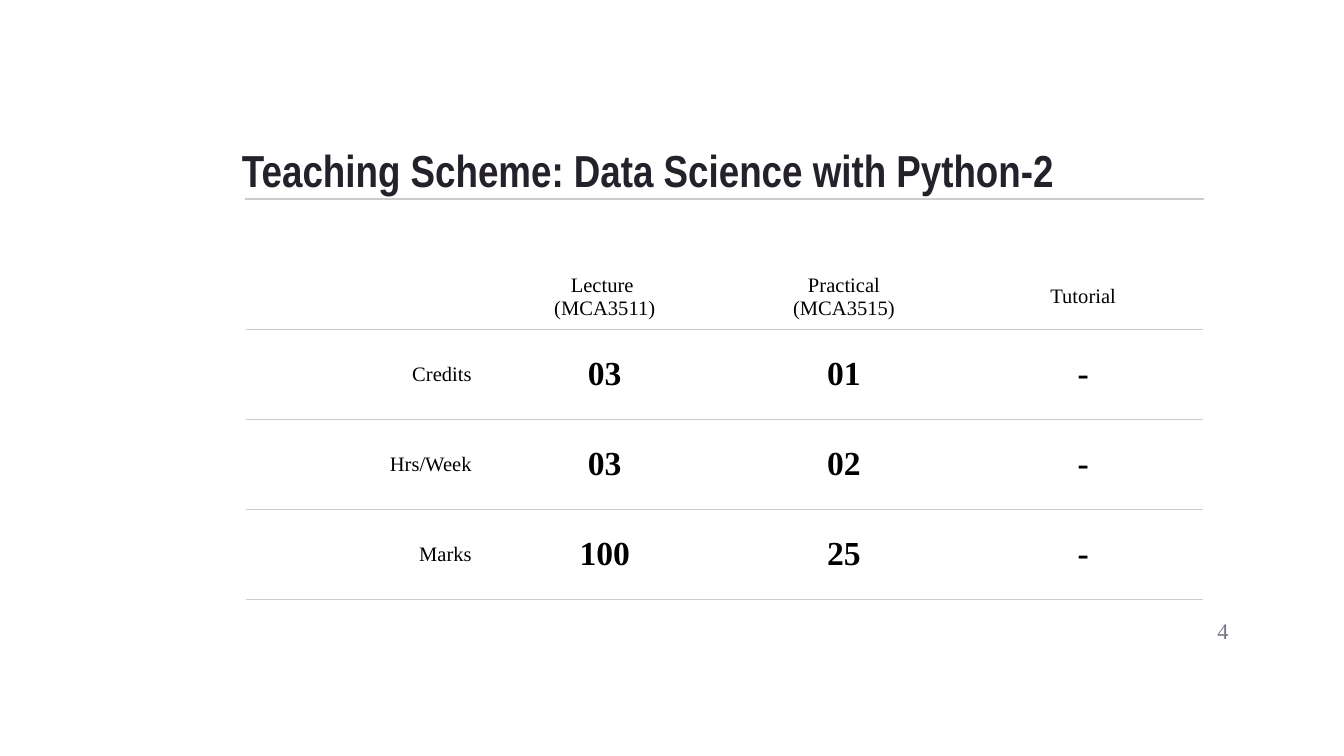
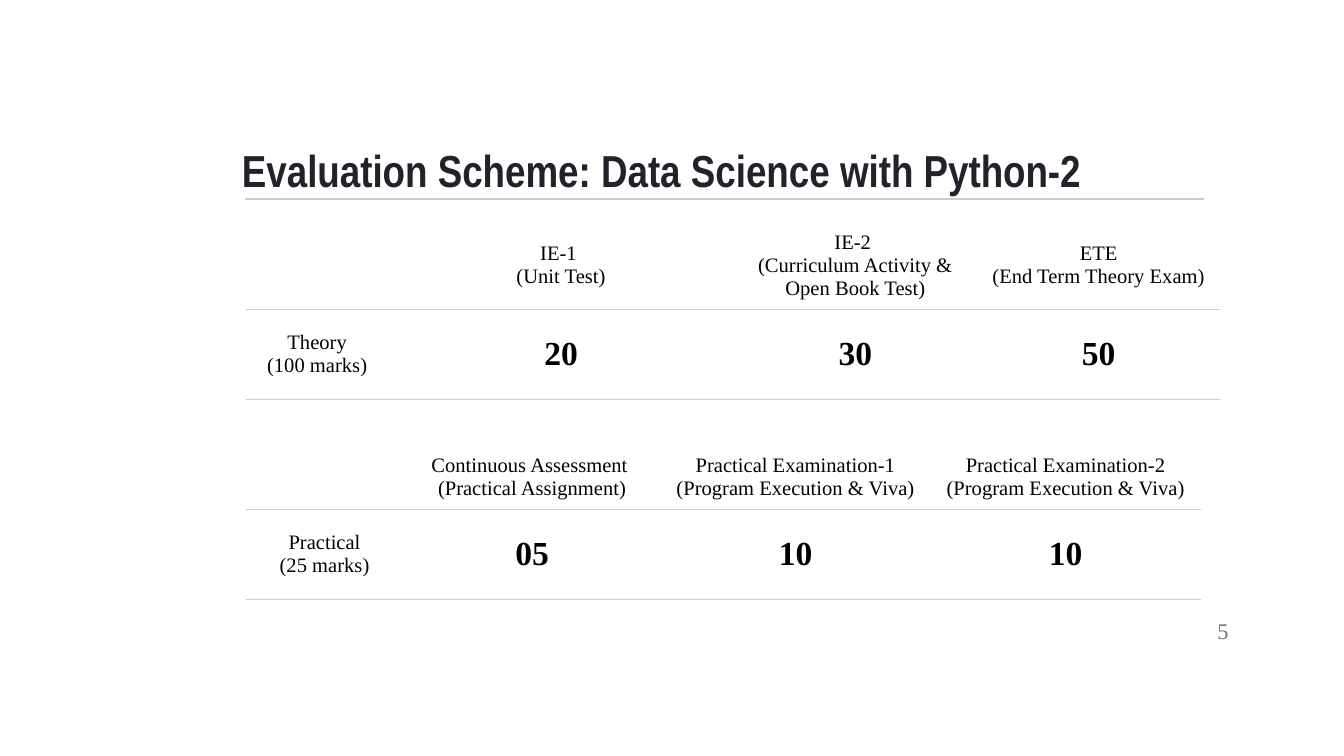
from dataclasses import dataclass
from typing import Any

from lxml.etree import SubElement
from pptx import Presentation
from pptx.dml.color import RGBColor
from pptx.enum.shapes import MSO_CONNECTOR as Connector
from pptx.enum.text import MSO_ANCHOR as Anchor, MSO_AUTO_SIZE as AutoSize, PP_ALIGN as Align
from pptx.oxml import parse_xml
from pptx.oxml.ns import nsdecls, qn
from pptx.slide import Slide
from pptx.util import Inches, Pt

INK, TITLE_INK, NUMBER_INK, RULE = "000000", "25212A", "797281", "CCCCCC"
SERIF, NARROW = "Times New Roman", "Arial Narrow"
RULE_WIDTH = Pt(0.75)
PLAIN_TABLE_STYLE = "{2D5ABB26-0587-4C30-8999-92F81FD0307C}"
SLIDE_WIDTH = 10
HEADER_HEIGHT, VALUE_HEIGHT = 0.29, 0.67
LABEL = {"name": SERIF, "size": Pt(11), "bold": False}
VALUE = {"name": SERIF, "size": Pt(18), "bold": True}
HEADING = {"name": NARROW, "size": Pt(24), "bold": True}
NUMBER = {"name": SERIF, "size": Pt(12), "bold": False}


@dataclass(frozen=True)
class Scheme:
    """A ruled table: its place, height, column widths and rows of text."""

    left: float
    top: float
    height: float
    widths: tuple[float, ...]
    rows: tuple[tuple[str, ...], ...]
    label_align: Align = Align.CENTER


@dataclass(frozen=True)
class Page:
    """A slide: its title, page number and tables."""

    title: str
    number: int
    schemes: tuple[Scheme, ...]


PAGES = (
    Page("Teaching Scheme: Data Science with Python-2", 4, (
        Scheme(1.83, 1.97, 2.52, (1.78,) * 4, (
            ("", "Lecture \n(MCA3511)", "Practical\n(MCA3515)", "Tutorial"),
            ("Credits", "03", "01", "-"),
            ("Hrs/Week", "03", "02", "-"),
            ("Marks", "100", "25", "-"),
        ), Align.RIGHT),
    )),
    Page("Evaluation Scheme: Data Science with Python-2", 5, (
        Scheme(1.83, 1.65, 1.37, (1.06, 2.57, 1.81, 1.81), (
            ("", "IE-1 \n(Unit Test)", "IE-2 \n(Curriculum Activity & Open Book Test)",
             "ETE\n(End Term Theory Exam)"),
            ("Theory\n(100 marks)", "20", "30", "50"),
        )),
        Scheme(1.83, 3.31, 1.18, (1.17, 1.92, 2, 2.02), (
            ("", "Continuous Assessment \n(Practical Assignment)",
             "Practical Examination-1\n(Program Execution & Viva)",
             "Practical Examination-2\n(Program Execution & Viva)"),
            ("Practical\n(25 marks)", "05", "10", "10"),
        )),
    )),
)


def rgb(color: str) -> RGBColor:
    """Turn a hex string into a colour."""
    return RGBColor.from_string(color)


def assign(target: Any, values: dict[str, Any]) -> None:
    """Set each named attribute on the target."""
    for name, value in values.items():
        setattr(target, name, value)


def write(frame: Any, text: str, style: dict[str, Any], color: str, align: Align) -> None:
    """Write text into a frame and format its paragraphs and runs."""
    frame.text = text
    for paragraph in frame.paragraphs:
        paragraph.alignment = align
        for run in paragraph.runs:
            assign(run.font, style)
            run.font.color.rgb = rgb(color)


def set_frame(frame: Any, anchor: Anchor) -> None:
    """Give a text frame equal insets, wrapping and an anchor."""
    sides = ("left", "top", "right", "bottom")
    assign(frame, {f"margin_{side}": Inches(0.1) for side in sides})
    assign(frame, {"word_wrap": True, "auto_size": AutoSize.NONE, "vertical_anchor": anchor})


def add_title(slide: Slide, text: str) -> None:
    """Place the title and the rule beneath it."""
    title = slide.shapes.title
    assign(title, {"left": Inches(1.7), "top": Inches(0.79),
                   "width": Inches(7.24), "height": Inches(0.77)})
    set_frame(title.text_frame, Anchor.BOTTOM)
    write(title.text_frame, text, HEADING, TITLE_INK, Align.LEFT)
    rule = slide.shapes.add_connector(
        Connector.STRAIGHT, Inches(1.82), Inches(1.48), Inches(8.96), Inches(1.48))
    rule.line.color.rgb = rgb(RULE)
    rule.line.width = RULE_WIDTH
    SubElement(rule.element.spPr, qn("a:effectLst"))


def add_number(slide: Slide, number: int) -> None:
    """Add the page number at the lower right."""
    box = slide.shapes.add_textbox(Inches(8.64), Inches(4.48), Inches(0.6), Inches(0.43))
    set_frame(box.text_frame, Anchor.MIDDLE)
    write(box.text_frame, str(number), NUMBER, NUMBER_INK, Align.RIGHT)


def rule_cell(cell: Any, edges: tuple[str, ...]) -> None:
    """Draw thin rules on the given edges of a cell."""
    properties = cell._tc.get_or_add_tcPr()
    for position, edge in enumerate(edges):
        properties.insert(position, parse_xml(
            f'<a:{edge} {nsdecls("a")} w="{RULE_WIDTH}"><a:solidFill>'
            f'<a:srgbClr val="{RULE}"/></a:solidFill></a:{edge}>'))


def add_scheme(slide: Slide, scheme: Scheme) -> None:
    """Add a table with rules between its rows."""
    heights = [HEADER_HEIGHT] + [VALUE_HEIGHT] * (len(scheme.rows) - 1)
    holder = slide.shapes.add_table(
        len(heights), len(scheme.widths), Inches(scheme.left), Inches(scheme.top),
        Inches(sum(scheme.widths)), Inches(scheme.height))
    table = holder.table
    assign(table, {"first_row": False, "horz_banding": False})
    table._tbl.tblPr.find(qn("a:tableStyleId")).text = PLAIN_TABLE_STYLE
    for column, width in zip(table.columns, scheme.widths):
        column.width = Inches(width)
    for row, height in zip(table.rows, heights):
        row.height = Inches(height)
    holder.height = Inches(scheme.height)
    for row_index, texts in enumerate(scheme.rows):
        for column_index, text in enumerate(texts):
            cell = table.cell(row_index, column_index)
            assign(cell, {"vertical_anchor": Anchor.MIDDLE,
                          "margin_left": Inches(0.1), "margin_right": Inches(0.1),
                          "margin_top": Inches(0.07), "margin_bottom": Inches(0.07)})
            cell.fill.background()
            rule_cell(cell, ("lnT", "lnB") if row_index else ("lnB",))
            style = VALUE if row_index and column_index else LABEL
            align = Align.CENTER if column_index else scheme.label_align
            write(cell.text_frame, text, style, INK, align)


def main() -> None:
    """Build and save the presentation."""
    deck = Presentation()
    assign(deck, {"slide_width": Inches(SLIDE_WIDTH),
                  "slide_height": Inches(SLIDE_WIDTH * 9 / 16)})
    title_only = deck.slide_layouts.get_by_name("Title Only")
    for page in PAGES:
        slide = deck.slides.add_slide(title_only)
        add_title(slide, page.title)
        for scheme in page.schemes:
            add_scheme(slide, scheme)
        add_number(slide, page.number)
    deck.save("out.pptx")


if __name__ == "__main__":
    main()
